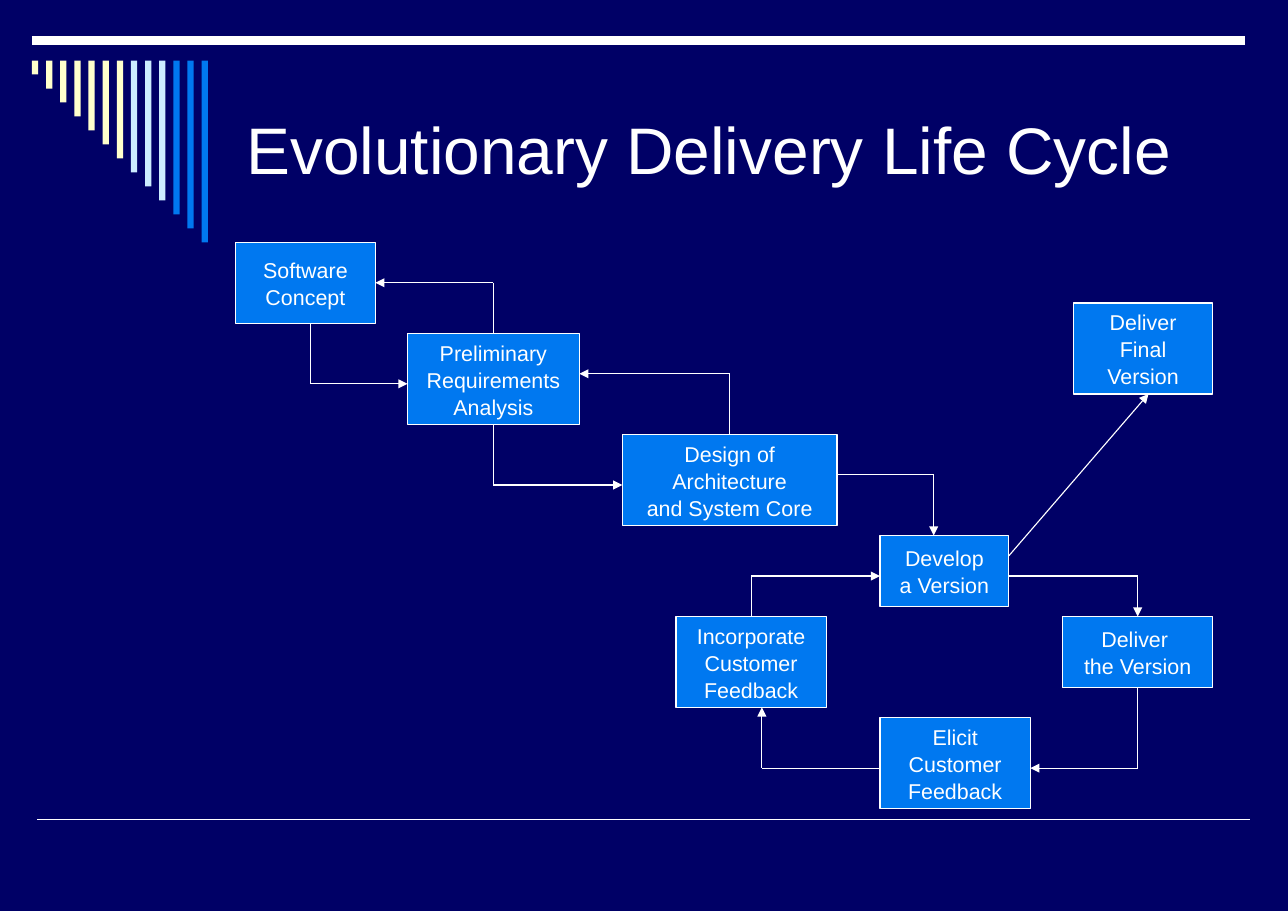
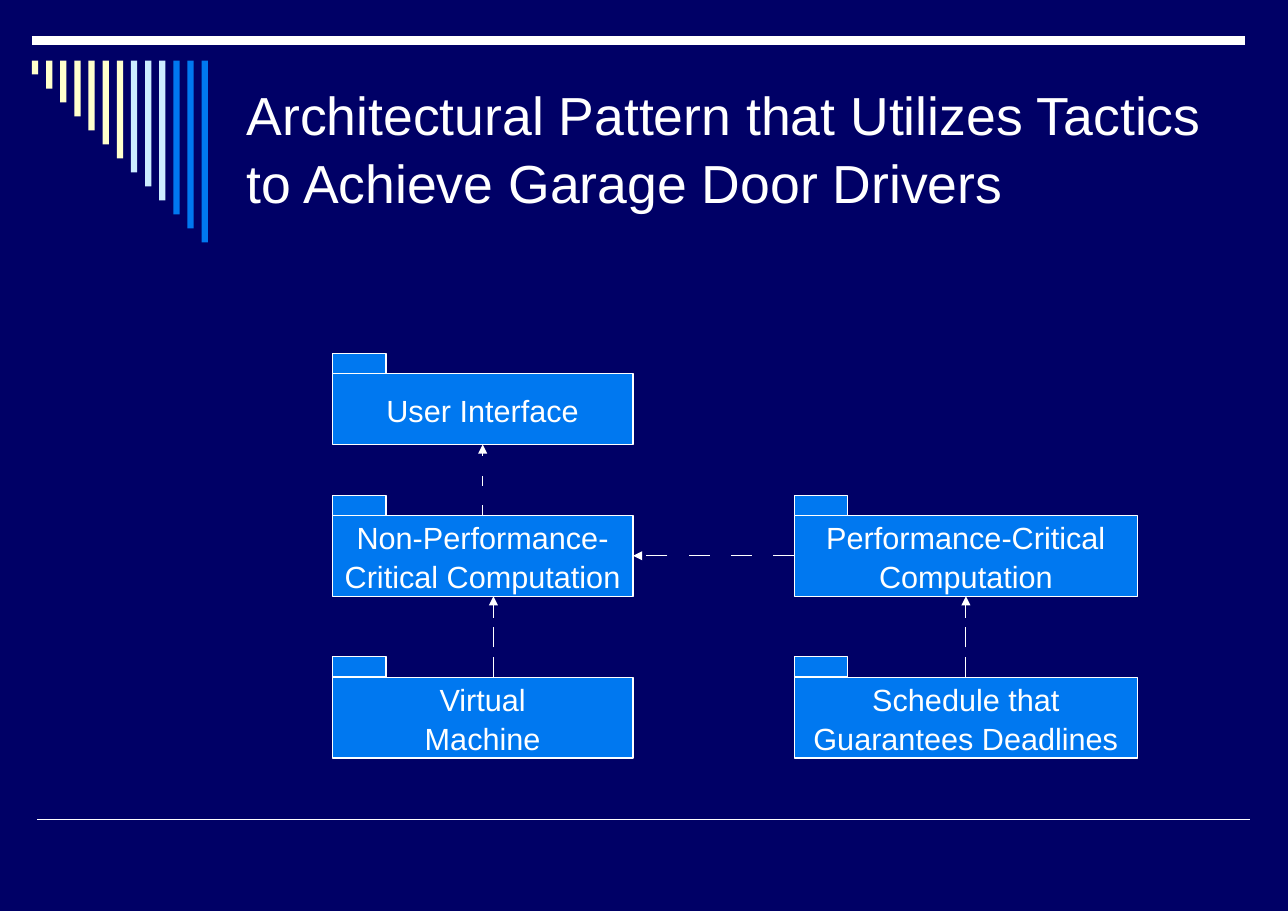
from collections import namedtuple

from lxml import etree
from pptx import Presentation
from pptx.dml.color import RGBColor
from pptx.enum.shapes import MSO_CONNECTOR, MSO_SHAPE
from pptx.enum.text import MSO_ANCHOR, PP_ALIGN
from pptx.oxml.ns import qn
from pptx.util import Pt

RECTANGLE = MSO_SHAPE.RECTANGLE
STRAIGHT = MSO_CONNECTOR.STRAIGHT
MIDDLE = MSO_ANCHOR.MIDDLE
CENTER, LEFT_ALIGNED = PP_ALIGN.CENTER, PP_ALIGN.LEFT
TOP, LEFT, BOTTOM, RIGHT = range(4)

NAVY, BLUE, ICE, CREAM, WHITE = "000066", "0078F0", "CCECFF", "FFFFCC", "FFFFFF"
FONT = "Arial"
LINE_SPACING = 1.05
THIN = 0.75

# Diagrams sit on a grid of small cells.
GRID_LEFT, GRID_TOP = 154.1, 158.4
CELL_W, CELL_H = 7.02, 6.61

STRIPE_COLORS = [CREAM] * 7 + [ICE] * 3 + [BLUE] * 3
STRIPE_LEFT, STRIPE_TOP = 20.9, 39.6
STRIPE_PITCH, STRIPE_WIDTH, STRIPE_GROWTH = 9.24, 4.1, 9.14

Box = namedtuple("Box", "shape col row cols rows")
# A port is a place on a box's side, shifted from its middle by some cells.
Port = namedtuple("Port", "box side shift", defaults=[0])


def rgb(value):
    return RGBColor.from_string(value)


def grid_point(col, row):
    return GRID_LEFT + col * CELL_W, GRID_TOP + row * CELL_H


def write(frame, lines, size, align):
    frame.vertical_anchor = MIDDLE
    for index, line in enumerate(lines):
        paragraph = frame.paragraphs[0] if index == 0 else frame.add_paragraph()
        paragraph.text = line
        paragraph.alignment = align
        paragraph.line_spacing = LINE_SPACING
        font_format = {"name": FONT, "size": Pt(size)}
        for attribute, value in font_format.items():
            setattr(paragraph.font, attribute, value)
        paragraph.font.color.rgb = rgb(WHITE)


def add_rectangle(slide, left, top, width, height, color, outlined=False):
    shape = slide.shapes.add_shape(
        RECTANGLE, Pt(left), Pt(top), Pt(width), Pt(height))
    shape.shadow.inherit = False
    shape.fill.solid()
    shape.fill.fore_color.rgb = rgb(color)
    if outlined:
        shape.line.color.rgb = rgb(WHITE)
        shape.line.width = Pt(THIN)
    else:
        shape.line.fill.background()
    return shape


def add_box(slide, col, row, cols, rows, lines=(), size=14):
    """Add a rectangle measured in grid cells, one paragraph per line."""
    shape = add_rectangle(slide, *grid_point(col, row),
                          cols * CELL_W, rows * CELL_H, BLUE, outlined=True)
    shape.text_frame.word_wrap = False
    write(shape.text_frame, lines, size, CENTER)
    return Box(shape, col, row, cols, rows)


def add_package(slide, col, row, cols, rows, lines):
    """Add a body with the small tab of a package on top."""
    body = add_box(slide, col, row, cols, rows, lines, size=20)
    add_box(slide, col, row - 2, 5, 2)
    return body


def add_line(slide, start, end, width=THIN, arrow=False, dash=None):
    """Draw from start to end; dash is the (stroke, gap) length in points."""
    line = slide.shapes.add_connector(
        STRAIGHT, *(Pt(length) for length in (*start, *end)))
    line.line.color.rgb = rgb(WHITE)
    line.line.width = Pt(width)
    outline = line.line._get_or_add_ln()
    if dash:
        stroke, gap = (str(round(length / width * 100000)) for length in dash)
        pattern = etree.SubElement(outline, qn("a:custDash"))
        etree.SubElement(pattern, qn("a:ds"), d=stroke, sp=gap)
    if arrow:
        etree.SubElement(outline, qn("a:tailEnd"), type="triangle")
    etree.SubElement(line._element.spPr, qn("a:effectLst"))
    return line


def port_point(port):
    box, side, shift = port
    if side in (TOP, BOTTOM):
        return grid_point(box.col + box.cols / 2 + shift,
                          box.row + (box.rows if side == BOTTOM else 0))
    return grid_point(box.col + (box.cols if side == RIGHT else 0),
                      box.row + box.rows / 2 + shift)


def glue(connect, port):
    """Join a line's end to a box when the port is the side's middle."""
    if not port.shift:
        connect(port.box.shape, port.side)


def add_arrow(slide, start, end, dash=None):
    line = add_line(slide, port_point(start), port_point(end),
                    arrow=True, dash=dash)
    glue(line.begin_connect, start)
    glue(line.end_connect, end)


def add_bent_arrow(slide, start, end):
    """Leave the start square to its side, turn once and reach the end."""
    (start_x, start_y), (end_x, end_y) = port_point(start), port_point(end)
    vertical_first = start.side in (TOP, BOTTOM)
    corner = (start_x, end_y) if vertical_first else (end_x, start_y)
    first = add_line(slide, (start_x, start_y), corner)
    glue(first.begin_connect, start)
    last = add_line(slide, corner, (end_x, end_y), arrow=True)
    glue(last.end_connect, end)


def add_titled_slide(prs, title, size):
    slide = prs.slides.add_slide(prs.slide_layouts[6])
    add_line(slide, (24.5, 535.7), (817.2, 535.7), width=1)
    add_line(slide, (20.9, 26.6), (813.6, 26.6), width=6)
    for index, color in enumerate(STRIPE_COLORS):
        add_rectangle(slide, STRIPE_LEFT + index * STRIPE_PITCH, STRIPE_TOP,
                      STRIPE_WIDTH, (index + 1) * STRIPE_GROWTH, color)
    heading = slide.shapes.add_textbox(Pt(154.1), Pt(39.6), Pt(645), Pt(112.3))
    heading.text_frame.word_wrap = True
    write(heading.text_frame, [title], size, LEFT_ALIGNED)
    return slide


def build_life_cycle(prs):
    slide = add_titled_slide(prs, "Evolutionary Delivery Life Cycle", 43)
    concept = add_box(slide, 0, 0, 13, 8, ["Software", "Concept"])
    analysis = add_box(slide, 16, 9, 16, 9,
                       ["Preliminary", "Requirements", "Analysis"])
    design = add_box(slide, 36, 19, 20, 9,
                     ["Design of", "Architecture", "and System Core"])
    develop = add_box(slide, 60, 29, 12, 7, ["Develop", "a Version"])
    deliver = add_box(slide, 77, 37, 14, 7, ["Deliver ", "the Version"])
    incorporate = add_box(slide, 41, 37, 14, 9,
                          ["Incorporate", "Customer", "Feedback"])
    elicit = add_box(slide, 60, 47, 14, 9, ["Elicit", "Customer", "Feedback"])
    final = add_box(slide, 78, 6, 13, 9, ["Deliver", "Final", "Version"])

    for start, end in [
        (Port(concept, BOTTOM, 0.5), Port(analysis, LEFT, 0.5)),
        (Port(analysis, TOP), Port(concept, RIGHT)),
        (Port(analysis, BOTTOM), Port(design, LEFT, 0.5)),
        (Port(design, TOP), Port(analysis, RIGHT, -0.5)),
        (Port(design, RIGHT, -0.5), Port(develop, TOP, -1)),
        (Port(develop, RIGHT, 0.5), Port(deliver, TOP)),
        (Port(deliver, BOTTOM), Port(elicit, RIGHT, 0.5)),
        (Port(elicit, LEFT, 0.5), Port(incorporate, BOTTOM, 1)),
        (Port(incorporate, TOP), Port(develop, LEFT, 0.5)),
    ]:
        add_bent_arrow(slide, start, end)
    add_arrow(slide, Port(develop, RIGHT, -1.5), Port(final, BOTTOM, 0.5))


def build_garage_door_pattern(prs):
    slide = add_titled_slide(
        prs, "Architectural Pattern that Utilizes Tactics "
        "to Achieve Garage Door Drivers", 35)
    interface = add_package(slide, 9, 13, 28, 7, ["User Interface"])
    non_critical = add_package(slide, 9, 27, 28, 8,
                               ["Non-Performance-", "Critical Computation"])
    machine = add_package(slide, 9, 43, 28, 8, ["Virtual", "Machine"])
    critical = add_package(slide, 52, 27, 32, 8,
                           ["Performance-Critical", "Computation"])
    schedule = add_package(slide, 52, 43, 32, 8,
                           ["Schedule that", "Guarantees Deadlines"])

    long_dash = (2 * CELL_H, CELL_H)
    for start, end, dash in [
        (Port(non_critical, TOP), Port(interface, BOTTOM),
         (CELL_H, 2 * CELL_H)),
        (Port(machine, TOP, 1), Port(non_critical, BOTTOM, 1), long_dash),
        (Port(critical, LEFT), Port(non_critical, RIGHT),
         (2 * CELL_W, 2 * CELL_W)),
        (Port(schedule, TOP), Port(critical, BOTTOM), long_dash),
    ]:
        add_arrow(slide, start, end, dash)


def main():
    prs = Presentation()
    prs.slide_width, prs.slide_height = Pt(842), Pt(595.5)
    background = prs.slide_master.background.fill
    background.solid()
    background.fore_color.rgb = rgb(NAVY)
    build_life_cycle(prs)
    build_garage_door_pattern(prs)
    prs.save("out.pptx")


if __name__ == "__main__":
    main()
